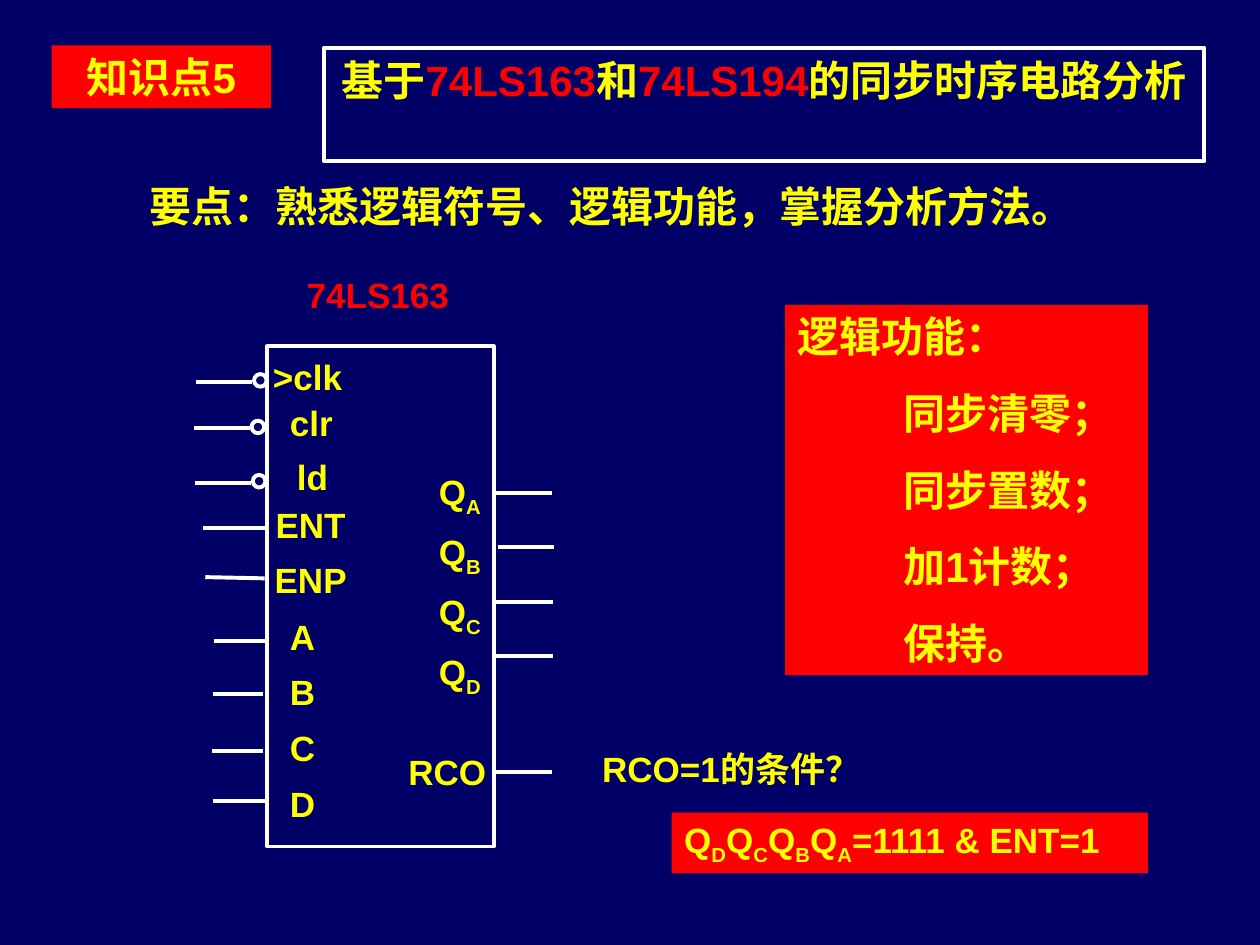
import pptx
import pptx.util
import pptx.dml.color
import pptx.enum.shapes
import pptx.enum.text
import pptx.oxml.ns
import lxml.etree

Pt = pptx.util.Pt
ALIGN = pptx.enum.text.PP_ALIGN
SHAPE = pptx.enum.shapes.MSO_SHAPE
COLORS = {"background": "000066", "text": "FFFF00", "accent": "FF0000", "line": "FFFFFF"}


def color(name):
    return pptx.dml.color.RGBColor.from_string(COLORS[name])


def write(frame, paragraphs, size, align=ALIGN.LEFT, tint="text", gap=0,
          spacing=1.0, indent=0, left=7.2):
    frame.word_wrap = True
    frame.auto_size = pptx.enum.text.MSO_AUTO_SIZE.NONE
    frame.vertical_anchor = pptx.enum.text.MSO_ANCHOR.TOP
    frame.margin_left, frame.margin_right = Pt(left), Pt(7.2)
    frame.margin_top = frame.margin_bottom = Pt(3.6)
    for index, runs in enumerate(paragraphs):
        paragraph = frame.add_paragraph() if index else frame.paragraphs[0]
        paragraph.alignment = align
        paragraph.line_spacing = spacing
        paragraph.space_before = Pt(gap if index else 0)
        if index and indent:
            paragraph._p.get_or_add_pPr().set("marL", str(Pt(indent)))
        for text, style in runs:
            run = paragraph.add_run()
            run.text = text
            font = run.font
            font.name, font.size, font.bold = "Arial", Pt(size), True
            font.color.rgb = color("accent" if style == "accent" else tint)
            if style == "sub":
                font._element.set("baseline", "-25000")


def plain(*lines):
    return [[(line, None)] for line in lines]


def q_output(letter):
    return [("Q", None), (letter, "sub")]


def add_label(slide, box, paragraphs, size=20, **style):
    label = slide.shapes.add_textbox(*map(Pt, box))
    write(label.text_frame, paragraphs, size, **style)


def add_outline(slide, kind, box):
    outline = slide.shapes.add_shape(kind, *map(Pt, box))
    outline.shadow.inherit = False
    outline.fill.background()
    outline.line.color.rgb = color("line")
    outline.line.width = Pt(2.25)


def add_panel(slide, box, paragraphs, size, **style):
    panel = slide.shapes.add_shape(SHAPE.RECTANGLE, *map(Pt, box))
    panel.shadow.inherit = False
    panel.fill.solid()
    panel.fill.fore_color.rgb = color("accent")
    panel.line.fill.background()
    write(panel.text_frame, paragraphs, size, **style)


def add_pin(slide, x1, y1, x2, y2):
    pin = slide.shapes.add_connector(
        pptx.enum.shapes.MSO_CONNECTOR.STRAIGHT, Pt(x1), Pt(y1), Pt(x2), Pt(y2))
    pin.line.color.rgb = color("line")
    pin.line.width = Pt(2.25)
    lxml.etree.SubElement(pin._element.spPr, pptx.oxml.ns.qn("a:effectLst"))


def add_heading(slide, box):
    left, top, width, height = box
    add_panel(slide, (left, top, 125.3, 36), plain("知识点5"), 24, align=ALIGN.CENTER)
    title = slide.shapes.title
    title.left, title.top = Pt(left + 155.5), Pt(top + 1.4)
    title.width, title.height = Pt(width - 155.5), Pt(64.8)
    title.fill.background()
    title.line.color.rgb = color("line")
    title.line.width = Pt(2.25)
    write(title.text_frame, [[
        ("基于", None), ("74LS163", "accent"), ("和", None),
        ("74LS194", "accent"), ("的同步时序电路分析", None),
    ]], 24, align=ALIGN.CENTER)
    add_label(slide, (left + 49, top + 73.5, 547.2, 36),
              plain("要点：熟悉逻辑符号、逻辑功能，掌握分析方法。"), 24)


def add_inverted_input(slide, box, name, inset):
    left, top, width, height = box
    add_label(slide, box, plain(name), align=ALIGN.CENTER, left=inset)
    add_pin(slide, left, top + 18.8, left - 31.7, top + 18.8)
    add_outline(slide, SHAPE.OVAL, (left + 1.2, top + 14.4, 7.2, 7.2))


def add_counter_chip(slide, box):
    left, top, width, height = box
    add_outline(slide, SHAPE.RECTANGLE, box)
    add_label(slide, (left + 7.2, top - 45.4, 112.3, 31.7), plain("74LS163"),
              align=ALIGN.CENTER, tint="accent")

    for name, dx, dy, inset in ((">clk", -8.6, 1.4, 0), ("clr", -10, 28, 7),
                                ("ld", -9.3, 59, 7)):
        add_inverted_input(slide, (left + dx, top + dy, 70.6, 31.7), name, inset)

    stacked = {"align": ALIGN.CENTER, "gap": 12.5, "spacing": 0.8}
    add_label(slide, (left - 5.7, top + 90.7, 61.2, 58.3), plain("ENT", "ENP"), **stacked)
    add_label(slide, (left - 0.7, top + 154.8, 41.8, 121.7), plain(*"ABCD"), **stacked)
    add_label(slide, (left + 89.3, top + 69.8, 41.8, 132.5),
              [q_output(letter) for letter in "ABCD"], **stacked)
    add_label(slide, (left + 70.6, top + 227.5, 64.8, 31.7), plain("RCO"),
              align=ALIGN.CENTER)

    pins = (
        (0, 103.7, -36.7, 103.7), (-1.4, 132.5, -35.3, 131.8),
        (-1.4, 168.5, -30.2, 168.5), (-2.1, 198.7, -30.9, 198.7),
        (-2.1, 231.1, -31.7, 231.1), (-1.4, 259.9, -30.9, 259.9),
        (130.4, 83.5, 162.8, 83.5), (131.8, 114.5, 164.2, 114.5),
        (131.1, 146.2, 163.5, 146.2), (131.1, 177.1, 163.5, 177.1),
        (128.9, 243.4, 162.8, 243.4),
    )
    for x1, y1, x2, y2 in pins:
        add_pin(slide, left + x1, top + y1, left + x2, top + y2)


def add_carry_condition(slide, box):
    left, top, width, height = box
    add_label(slide, (left, top, 163.4, 31.7), plain("RCO=1的条件？"))
    answer = [part for letter in "DCBA" for part in q_output(letter)]
    add_panel(slide, (left + 46.8, top + 41, width - 46.8, 34.6),
              [answer + [("=1111 & ENT=1", None)]], 20)


def add_functions(slide, box):
    add_panel(slide, box,
              plain("逻辑功能：", "同步清零；", "同步置数；", "加1计数；", "保持。"),
              24, gap=15, indent=60.5)


def main():
    deck = pptx.Presentation()
    deck.slide_width, deck.slide_height = Pt(720), Pt(540)
    slide = deck.slides.add_slide(deck.slide_layouts[5])
    slide.background.fill.solid()
    slide.background.fill.fore_color.rgb = color("background")
    add_heading(slide, (29.5, 25.9, 658.8, 110))
    add_counter_chip(slide, (152.6, 198, 129.6, 285.8))
    add_carry_condition(slide, (337, 423.4, 319, 75.6))
    add_functions(slide, (448.6, 174.2, 207.4, 211.7))
    deck.save("out.pptx")


if __name__ == "__main__":
    main()
